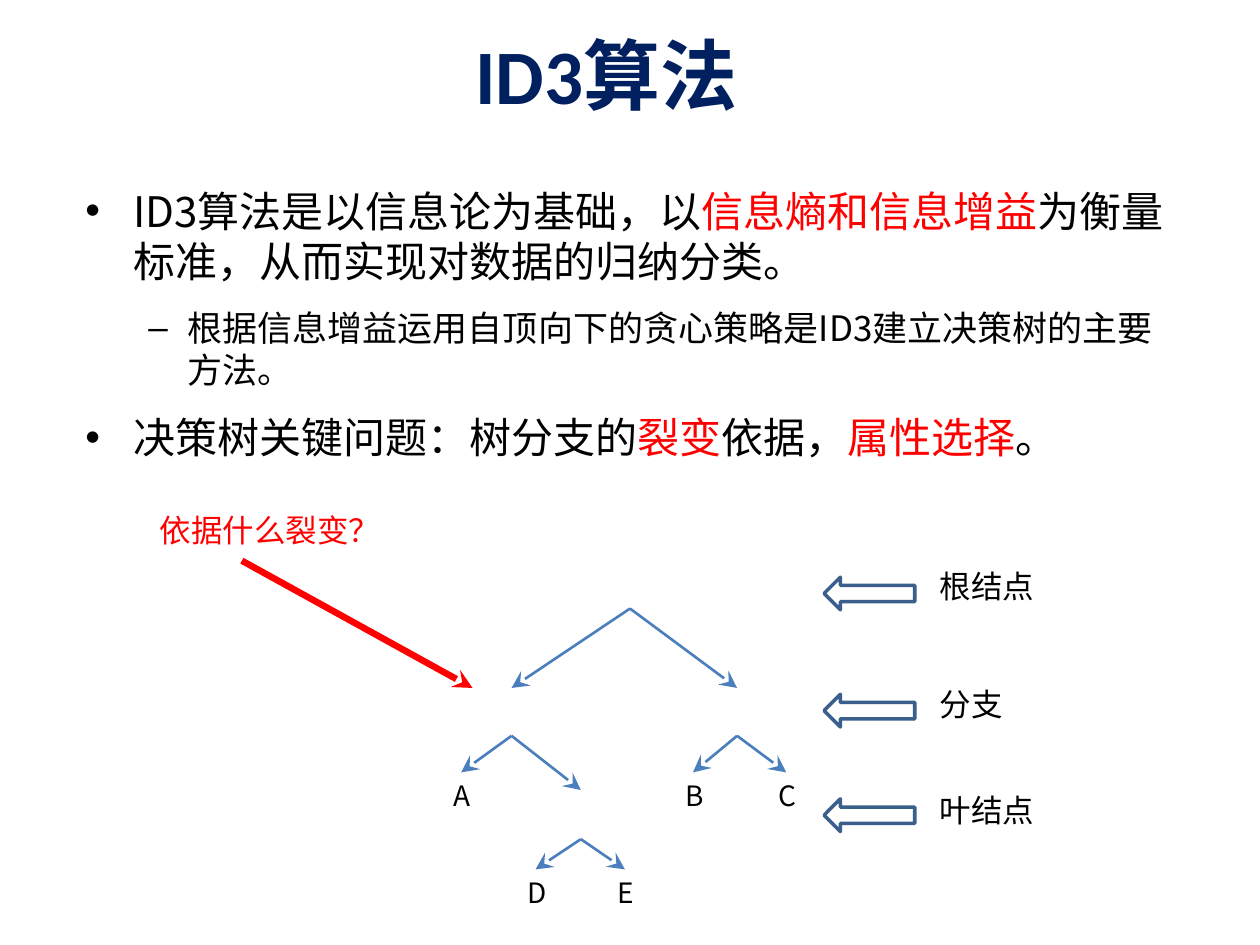
from dataclasses import dataclass

from lxml.etree import SubElement
from pptx import Presentation
from pptx.dml.color import RGBColor
from pptx.enum.shapes import MSO_CONNECTOR, MSO_SHAPE
from pptx.enum.text import MSO_ANCHOR, MSO_AUTO_SIZE, PP_ALIGN
from pptx.oxml.ns import qn
from pptx.util import Inches, Pt


@dataclass(frozen=True)
class Theme:
    latin: str = "Calibri"
    chinese: str = "Noto Sans CJK SC"
    navy: str = "002060"
    black: str = "000000"
    red: str = "FF0000"
    branch: str = "4B7EBC"
    outline: str = "3A5F8C"
    title: int = 44
    bullets: tuple = (24, 20)
    label: int = 18
    leaf: int = 16


THEME = Theme()


@dataclass(frozen=True)
class Box:
    left: float
    top: float
    width: float
    height: float

    def lengths(self):
        return [Inches(v) for v in (self.left, self.top, self.width, self.height)]


def color(name):
    return RGBColor.from_string(name)


def set_font(para, size, ink, latin=THEME.chinese, bold=False):
    font = para.font
    font.size = Pt(size)
    font.bold = bold
    font.color.rgb = color(ink)
    font.name = latin
    SubElement(font._element, qn("a:ea"), typeface=THEME.chinese)


def add_label(shapes, box, text, size, ink=THEME.black):
    frame = shapes.add_textbox(*box.lengths()).text_frame
    frame.word_wrap = False
    frame.auto_size = MSO_AUTO_SIZE.SHAPE_TO_FIT_TEXT
    para = frame.paragraphs[0]
    para.text = text
    set_font(para, size, ink)


def add_arrow(shapes, start, end, ink, weight, head="med"):
    ends = [Inches(v) for v in (*start, *end)]
    arrow = shapes.add_connector(MSO_CONNECTOR.STRAIGHT, *ends)
    arrow.line.color.rgb = color(ink)
    arrow.line.width = Pt(weight)
    line = arrow.line._get_or_add_ln()
    SubElement(line, qn("a:tailEnd"), type="stealth", w=head, len=head)
    SubElement(arrow._element.spPr, qn("a:effectLst"))


def add_title(page, box, text):
    title = page.shapes.title
    title.left, title.top, title.width, title.height = box.lengths()
    frame = title.text_frame
    frame.vertical_anchor = MSO_ANCHOR.TOP
    para = frame.paragraphs[0]
    para.text = text
    para.alignment = PP_ALIGN.LEFT
    set_font(para, THEME.title, THEME.navy, THEME.latin, bold=True)


def add_bullets(page, box, items):
    """Items are (level, spans); every second span is a red keyword."""
    frame = page.shapes.add_textbox(*box.lengths()).text_frame
    frame.word_wrap = True
    styles = [("•", 0.38, 0.38), ("–", 0.81, 0.31)]
    for index, (level, spans) in enumerate(items):
        para = frame.add_paragraph() if index else frame.paragraphs[0]
        mark, margin, hanging = styles[level]
        para.level = level
        if index:
            para.space_before = Pt(12)
        properties = para._p.get_or_add_pPr()
        properties.set("marL", str(Inches(margin)))
        properties.set("indent", str(-Inches(hanging)))
        SubElement(properties, qn("a:buFont"), typeface="Arial")
        SubElement(properties, qn("a:buChar"), char=mark)
        set_font(para, THEME.bullets[level], THEME.black)
        for position, text in enumerate(spans):
            span = para.add_run()
            span.text = text
            if position % 2:
                span.font.color.rgb = color(THEME.red)


def add_tree(page, box):
    shapes = page.shapes.add_group_shape().shapes

    def place(x, y):
        return box.left + x, box.top + y

    # Each fork: its point, then the tips of its branches with their leaf letters
    forks = [
        ((1.5, 0), [(0.56, 0.63, ""), (2.35, 0.63, "")]),
        ((0.56, 1.01), [(0.16, 1.3, "A"), (1.11, 1.44, "")]),
        ((2.35, 1.01), [(2, 1.3, "B"), (2.74, 1.3, "C")]),
        ((1.11, 1.83), [(0.75, 2.07, "D"), (1.46, 2.07, "E")]),
    ]
    for fork, tips in forks:
        for x, y, leaf in tips:
            tip = place(x, y)
            add_arrow(shapes, place(*fork), tip, THEME.branch, 1.5, head="lg")
            if leaf:
                leaf_box = Box(tip[0] - 0.16, tip[1], 0.31, 0.37)
                add_label(shapes, leaf_box, leaf, THEME.leaf)


def add_legend(page, box):
    shapes = page.shapes.add_group_shape().shapes
    rows = [("根结点", 0, 0.13, 0.96), ("分支", 0.94, 1.06, 0.71), ("叶结点", 1.78, 1.89, 0.96)]
    for text, label_top, arrow_top, width in rows:
        arrow_box = Box(box.left, box.top + arrow_top, 0.72, 0.26)
        arrow = shapes.add_shape(MSO_SHAPE.RIGHT_ARROW, *arrow_box.lengths())
        arrow.rotation = 180
        arrow.shadow.inherit = False
        arrow.fill.background()
        arrow.line.color.rgb = color(THEME.outline)
        arrow.line.width = Pt(2)
        label_box = Box(box.left + 0.82, box.top + label_top, width, 0.4)
        add_label(shapes, label_box, text, THEME.label)


def add_question(page, box, text):
    shapes = page.shapes.add_group_shape().shapes
    start = box.left + 0.75, box.top + 0.44
    end = box.left + box.width, box.top + box.height
    add_arrow(shapes, start, end, THEME.red, 3.75)
    add_label(shapes, Box(box.left, box.top, 1.97, 0.4), text, THEME.label, THEME.red)


def main():
    deck = Presentation()
    deck.slide_width, deck.slide_height = Inches(10), Inches(7.5)
    page = deck.slides.add_slide(deck.slide_layouts[5])
    add_title(page, Box(3.67, 0.17, 5.67, 1), "ID3算法")
    add_bullets(page, Box(0.58, 1.42, 8.92, 5.83), [
        (0, ["ID3算法是以信息论为基础，以", "信息熵和信息增益",
             "为衡量标准，从而实现对数据的归纳分类。"]),
        (1, ["根据信息增益运用自顶向下的贪心策略是ID3建立决策树的主要方法。"]),
        (0, ["决策树关键问题：树分支的", "裂变", "依据，", "属性选择", "。"]),
    ])
    add_tree(page, Box(3.5, 4.83, 2.89, 2.44))
    add_legend(page, Box(6.54, 4.45, 1.78, 2.18))
    add_question(page, Box(1.17, 4.01, 2.58, 1.45), "依据什么裂变？")
    deck.save("out.pptx")


if __name__ == "__main__":
    main()
